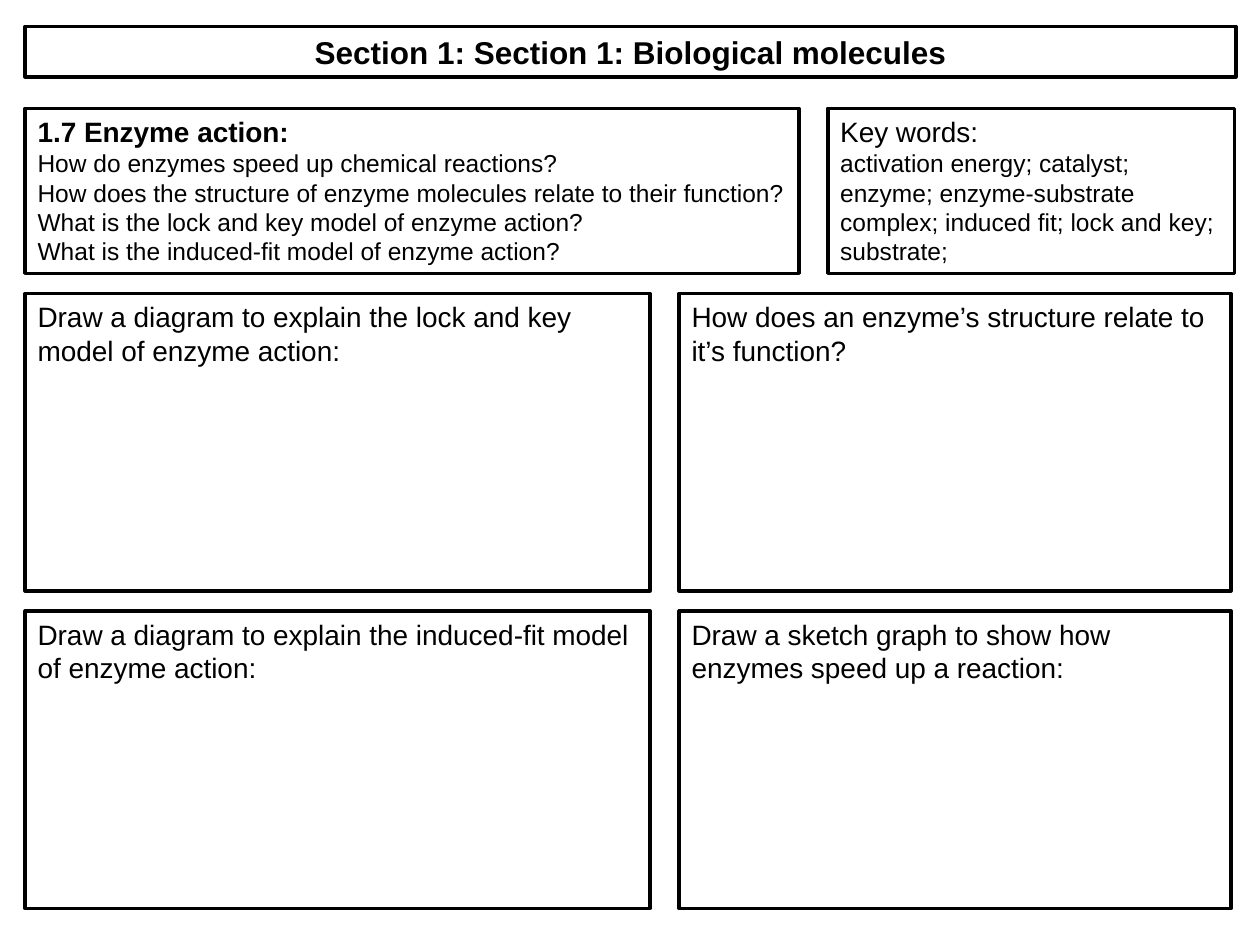
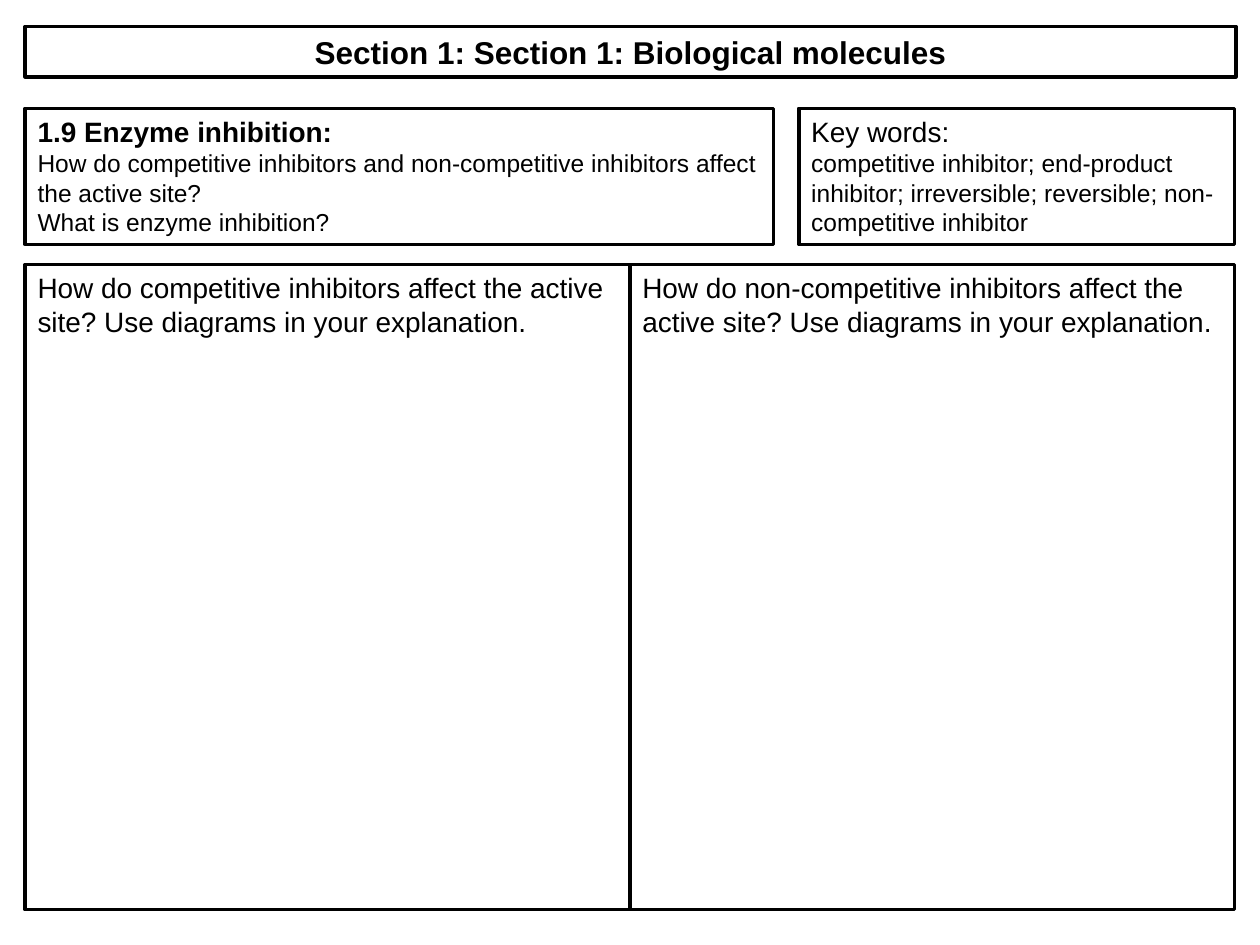
"""Build two revision worksheets on enzyme action and enzyme inhibition."""
from pptx import Presentation
from pptx.dml.color import RGBColor
from pptx.enum.shapes import MSO_SHAPE
from pptx.enum.text import MSO_ANCHOR, MSO_AUTO_SIZE, PP_ALIGN
from pptx.util import Inches, Pt

RECTANGLE = MSO_SHAPE.RECTANGLE
TOP = MSO_ANCHOR.TOP
GROW = MSO_AUTO_SIZE.SHAPE_TO_FIT_TEXT
FIXED = MSO_AUTO_SIZE.NONE
LEFT, CENTER = PP_ALIGN.LEFT, PP_ALIGN.CENTER

COLORS = {"paper": "FFFFFF", "ink": "000000"}
FONT = "Arial"
MARGIN = 0.2
RIGHT_EDGE = 9.8
HEADER_TOP = 0.86
ROW_GAP = 0.16
SECTION = "Section 1: Section 1: Biological molecules"


def add_box(slide, area, heading, details=(), size=16, bold=False, align=LEFT, autosize=FIXED):
    box = slide.shapes.add_shape(RECTANGLE, *[Inches(length) for length in area])
    box.shadow.inherit = False
    box.fill.solid()
    box.fill.fore_color.rgb = RGBColor.from_string(COLORS["paper"])
    box.line.color.rgb = RGBColor.from_string(COLORS["ink"])
    box.line.width = Pt(2)
    frame = box.text_frame
    frame.word_wrap = True
    frame.vertical_anchor = TOP
    frame.auto_size = autosize
    for index, line in enumerate([heading, *details]):
        paragraph = frame.add_paragraph() if index else frame.paragraphs[0]
        paragraph.alignment = align
        run = paragraph.add_run()
        run.text = line
        run.font.name = FONT
        run.font.size = Pt(14 if index else size)
        run.font.bold = bold and index == 0
        run.font.color.rgb = RGBColor.from_string(COLORS["ink"])


worksheets = [
    {
        "topic": "1.7 Enzyme action:",
        "questions": [
            "How do enzymes speed up chemical reactions?",
            "How does the structure of enzyme molecules relate to their function?",
            "What is the lock and key model of enzyme action?",
            "What is the induced-fit model of enzyme action?",
        ],
        "key_words": "activation energy; catalyst; enzyme; enzyme-substrate complex; "
                     "induced fit; lock and key; substrate;",
        "topic_width": 6.14,
        "key_words_left": 6.57,
        "header_height": 1.31,
        "task_height": 2.36,
        "task_columns": [
            (MARGIN, 4.96, ["Draw a diagram to explain the lock and key model of enzyme action:",
                            "Draw a diagram to explain the induced-fit model of enzyme action:"]),
            (5.39, 4.38, ["How does an enzyme’s structure relate to it’s function?",
                          "Draw a sketch graph to show how enzymes speed up a reaction:"]),
        ],
    },
    {
        "topic": "1.9 Enzyme inhibition:",
        "questions": [
            "How do competitive inhibitors and non-competitive inhibitors affect the active site?",
            "What is enzyme inhibition?",
        ],
        "key_words": "competitive inhibitor; end-product inhibitor; irreversible; "
                     "reversible; non-competitive inhibitor",
        "topic_width": 5.94,
        "key_words_left": 6.34,
        "header_height": 1.08,
        "task_height": 5.12,
        "task_columns": [
            (MARGIN, 4.8, ["How do competitive inhibitors affect the active site? "
                           "Use diagrams in your explanation."]),
            (5, 4.8, ["How do non-competitive inhibitors affect the active site? "
                      "Use diagrams in your explanation."]),
        ],
    },
]

prs = Presentation()
prs.slide_width = Inches(10)
prs.slide_height = Inches(7.5)
blank = prs.slide_layouts[6]

for sheet in worksheets:
    slide = prs.slides.add_slide(blank)
    add_box(slide, (MARGIN, 0.21, 9.61, 0.4), SECTION, size=18, bold=True,
            align=CENTER, autosize=GROW)

    header_height = sheet["header_height"]
    add_box(slide, (MARGIN, HEADER_TOP, sheet["topic_width"], header_height),
            sheet["topic"], sheet["questions"], bold=True, autosize=GROW)
    key_words_left = sheet["key_words_left"]
    add_box(slide, (key_words_left, HEADER_TOP, RIGHT_EDGE - key_words_left, header_height),
            "Key words:", [sheet["key_words"]])

    tasks_top = HEADER_TOP + header_height + ROW_GAP
    task_height = sheet["task_height"]
    for left, width, tasks in sheet["task_columns"]:
        for row, task in enumerate(tasks):
            top = tasks_top + row * (task_height + ROW_GAP)
            add_box(slide, (left, top, width, task_height), task)

prs.save("out.pptx")
